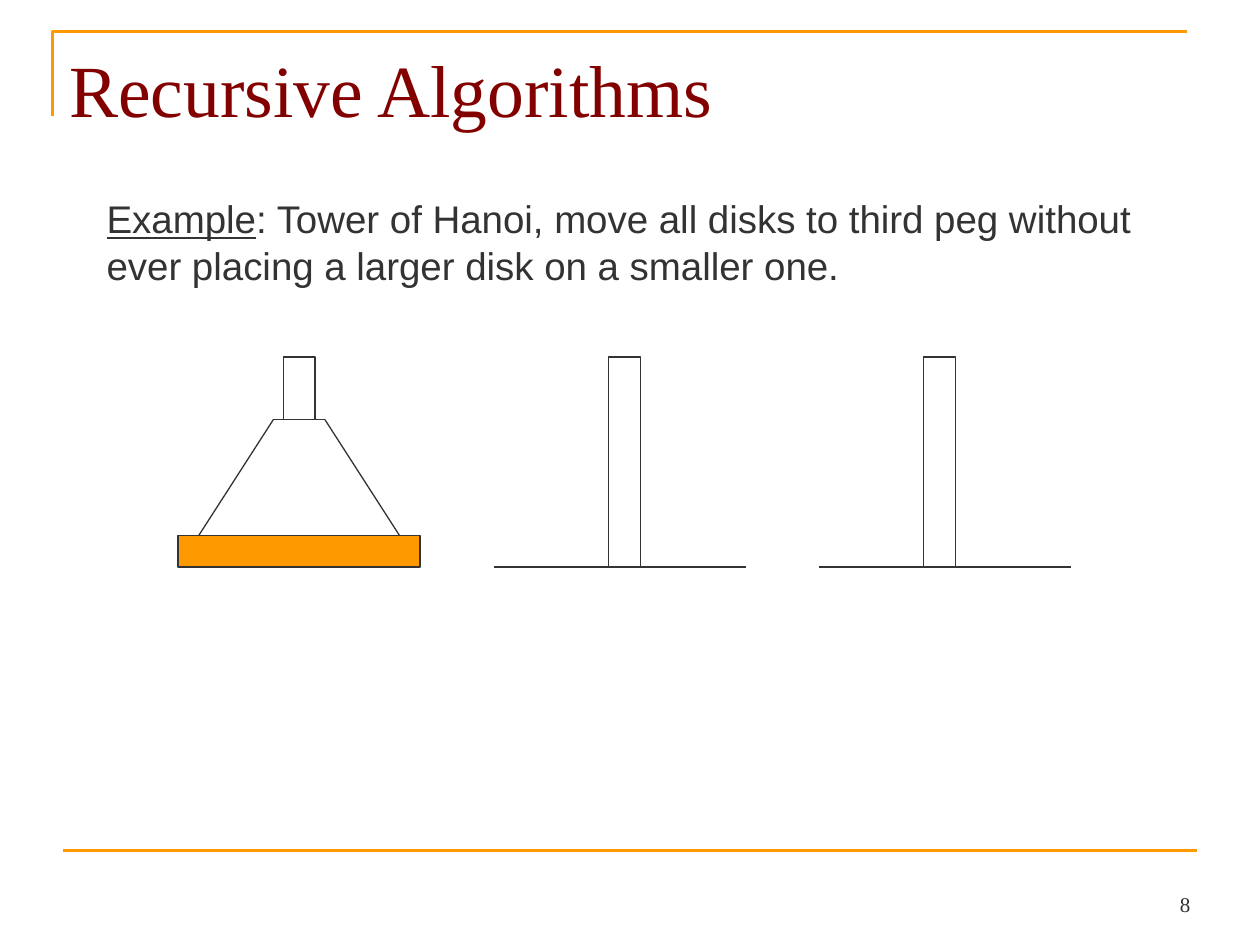
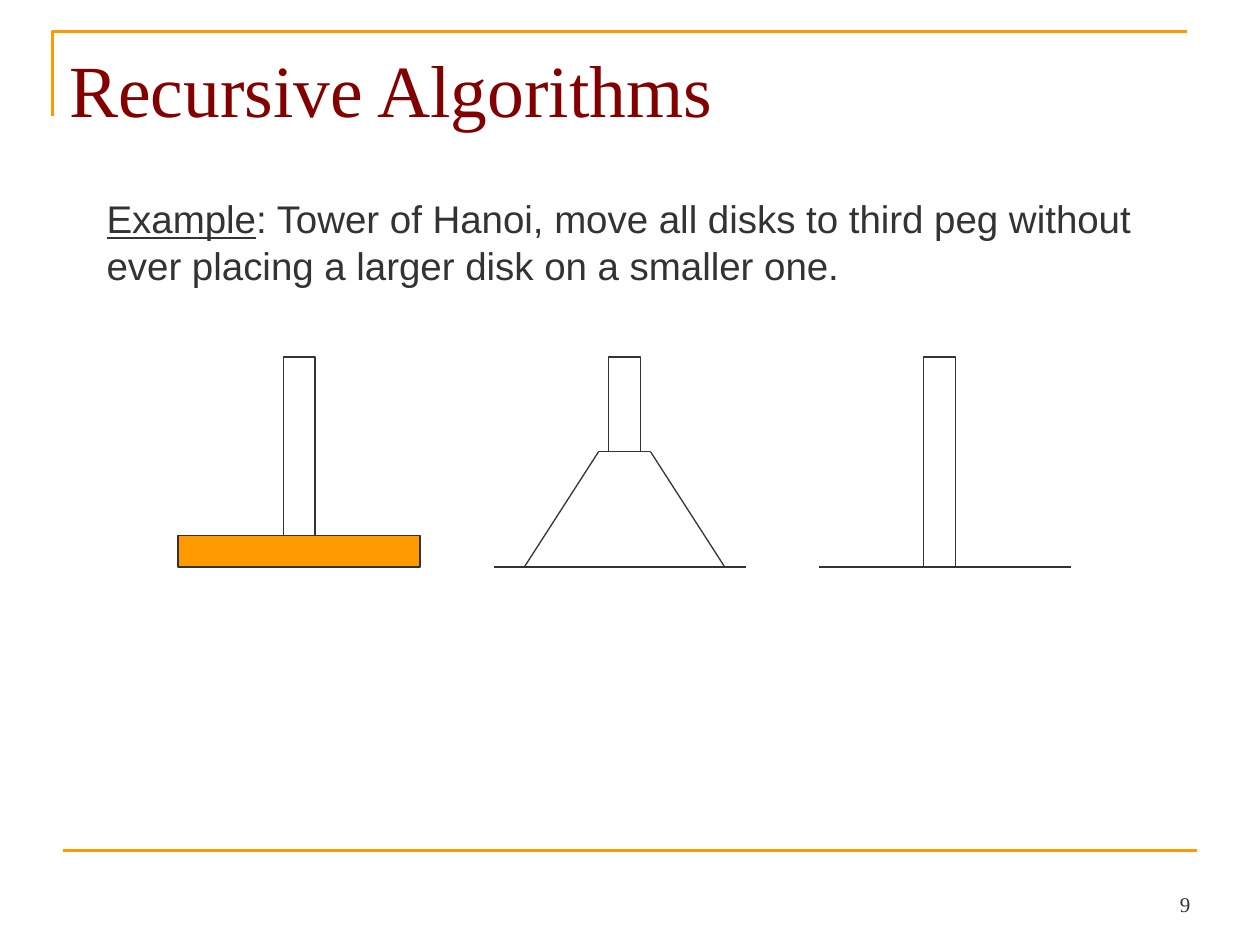
from lxml.etree import SubElement
from pptx import Presentation
from pptx.dml.color import RGBColor
from pptx.enum.shapes import MSO_CONNECTOR as CONN, MSO_SHAPE as SHAPE
from pptx.enum.text import MSO_ANCHOR as ANCHOR, PP_ALIGN as ALIGN
from pptx.oxml.ns import qn
from pptx.util import Cm, Pt

COLORS = {"accent": "FF9900", "title": "820000", "ink": "333333", "paper": "FFFFFF"}
SERIF, SANS = "Times New Roman", "Arial"
SLIDE_W, SLIDE_H = 25.4, 19.05

# Hanoi measures in cm, relative to the drawing's box
DRAWING_X, DRAWING_Y = 3.6, 7.2
PEG_CENTERS = [2.43, 8.99, 15.34]
PEG_W, PEG_H = 0.64, 4.23
DISK_W, DISK_H = 4.88, 0.64
TOWER_BOTTOM, TOWER_TOP, TOWER_H = 4.04, 1.04, 2.33
GROUND_LEFTS, GROUND_W = [6.36, 12.91], 5.08


def color(name):
    return RGBColor.from_string(COLORS[name])


def add_line(shapes, x1, y1, x2, y2, name="ink", width=0.75):
    s = shapes.add_connector(CONN.STRAIGHT, Cm(x1), Cm(y1), Cm(x2), Cm(y2))
    s.line.color.rgb = color(name)
    s.line.width = Pt(width)
    SubElement(s._element.spPr, qn("a:effectLst"))


def add_rect(shapes, x, y, w, h, fill):
    s = shapes.add_shape(SHAPE.RECTANGLE, Cm(x), Cm(y), Cm(w), Cm(h))
    s.shadow.inherit = False
    s.fill.solid()
    s.fill.fore_color.rgb = color(fill)
    s.line.color.rgb = color("ink")
    s.line.width = Pt(0.75)


def add_text(shapes, x, y, w, h, texts, font, size, name="ink"):
    """Add one paragraph with a run for each text, and return its frame."""
    tf = shapes.add_textbox(Cm(x), Cm(y), Cm(w), Cm(h)).text_frame
    tf.word_wrap = True
    tf.margin_left = tf.margin_right = tf.margin_top = tf.margin_bottom = Cm(0.13)
    for text in texts:
        r = tf.paragraphs[0].add_run()
        r.text = text
        r.font.name, r.font.size = font, Pt(size)
        r.font.color.rgb = color(name)
    return tf


def add_frame(shapes, number):
    # Corner rule at the top, straight rule at the bottom
    builder = shapes.build_freeform(Cm(1.06), Cm(2.33))
    builder.add_line_segments([(Cm(1.06), Cm(0.64)), (Cm(23.92), Cm(0.64))], close=False)
    s = builder.convert_to_shape()
    s.shadow.inherit = False
    s.fill.background()
    s.line.color.rgb = color("accent")
    s.line.width = Pt(1.5)
    add_line(shapes, 1.27, 17.15, 24.13, 17.15, "accent", 1.5)

    # Page number
    tf = add_text(shapes, 23.65, 17.91, 0.48, 0.71, [str(number)], SERIF, 12)
    tf.word_wrap = False
    tf.vertical_anchor = ANCHOR.BOTTOM
    tf.paragraphs[0].alignment = ALIGN.RIGHT


def add_copy(shapes):
    add_text(shapes, 1.27, 0.76, 22.86, 2.62, ["Recursive Algorithms"], SERIF, 42, "title")
    tf = add_text(shapes, 1.06, 3.81, 23.07, 12.57, [
        "Example",
        ": Tower of Hanoi, move all disks to third peg without "
        "ever placing a larger disk on a smaller one.",
    ], SANS, 22)
    p = tf.paragraphs[0]
    p.space_before = Pt(5)
    p.runs[0].font.underline = True
    p._p.get_or_add_pPr().set("marL", str(Cm(0.96)))


def add_tower(shapes, center, bottom):
    """Outline the stack of smaller disks, open at the bottom."""
    top = bottom - TOWER_H
    group = shapes.add_group_shape().shapes
    for side in (-1, 1):
        add_line(group, center + side * TOWER_BOTTOM / 2, bottom,
                 center + side * TOWER_TOP / 2, top)
    add_line(group, center - TOWER_TOP / 2, top, center + TOWER_TOP / 2, top)


def add_hanoi(shapes, x, y, tower_peg):
    """Draw the pegs at x, y with the smaller disks on the given peg."""
    ground = y + PEG_H
    stacks = [DISK_H, 0, 0]

    # Largest disk, then the smaller ones
    add_rect(shapes, x + PEG_CENTERS[0] - DISK_W / 2, ground - DISK_H, DISK_W, DISK_H, "accent")
    add_tower(shapes, x + PEG_CENTERS[tower_peg], ground - stacks[tower_peg])
    stacks[tower_peg] += TOWER_H

    # Ground lines
    for left in GROUND_LEFTS:
        add_line(shapes, x + left, ground, x + left + GROUND_W, ground)

    # Visible part of each peg
    for center, stack in zip(PEG_CENTERS, stacks):
        add_rect(shapes, x + center - PEG_W / 2, y, PEG_W, PEG_H - stack, "paper")


def add_hanoi_slide(prs, number, tower_peg):
    shapes = prs.slides.add_slide(prs.slide_layouts[6]).shapes
    add_frame(shapes, number)
    add_copy(shapes)
    add_hanoi(shapes, DRAWING_X, DRAWING_Y, tower_peg)


def main():
    prs = Presentation()
    prs.slide_width, prs.slide_height = Cm(SLIDE_W), Cm(SLIDE_H)
    for number, tower_peg in [(8, 0), (9, 1)]:
        add_hanoi_slide(prs, number, tower_peg)
    prs.save("out.pptx")


if __name__ == "__main__":
    main()
